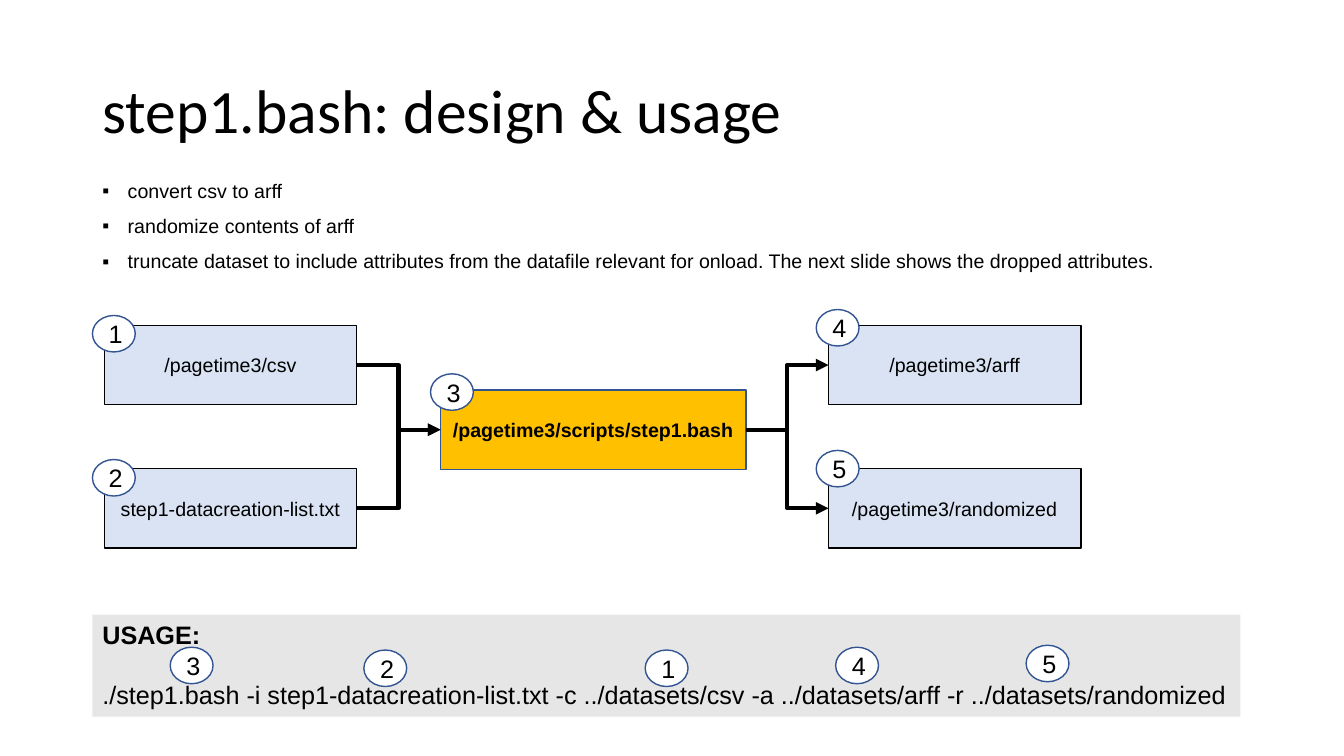
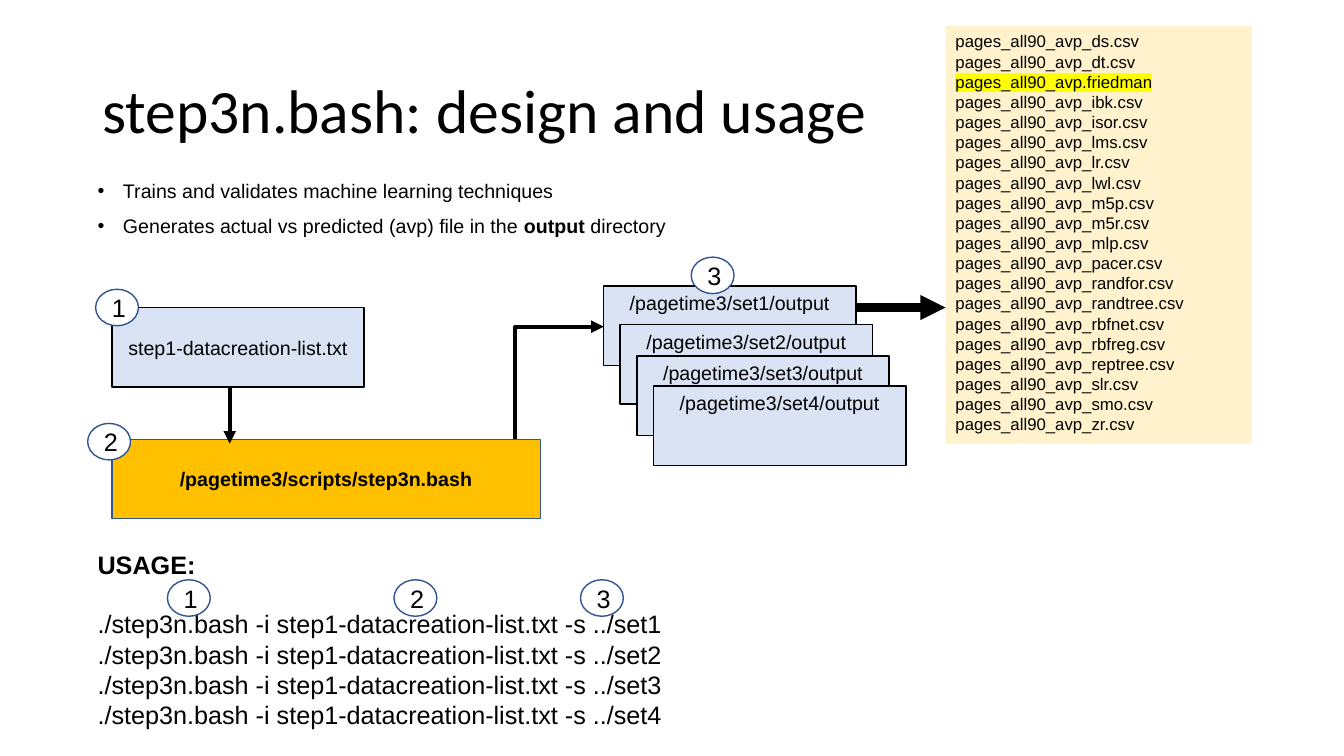
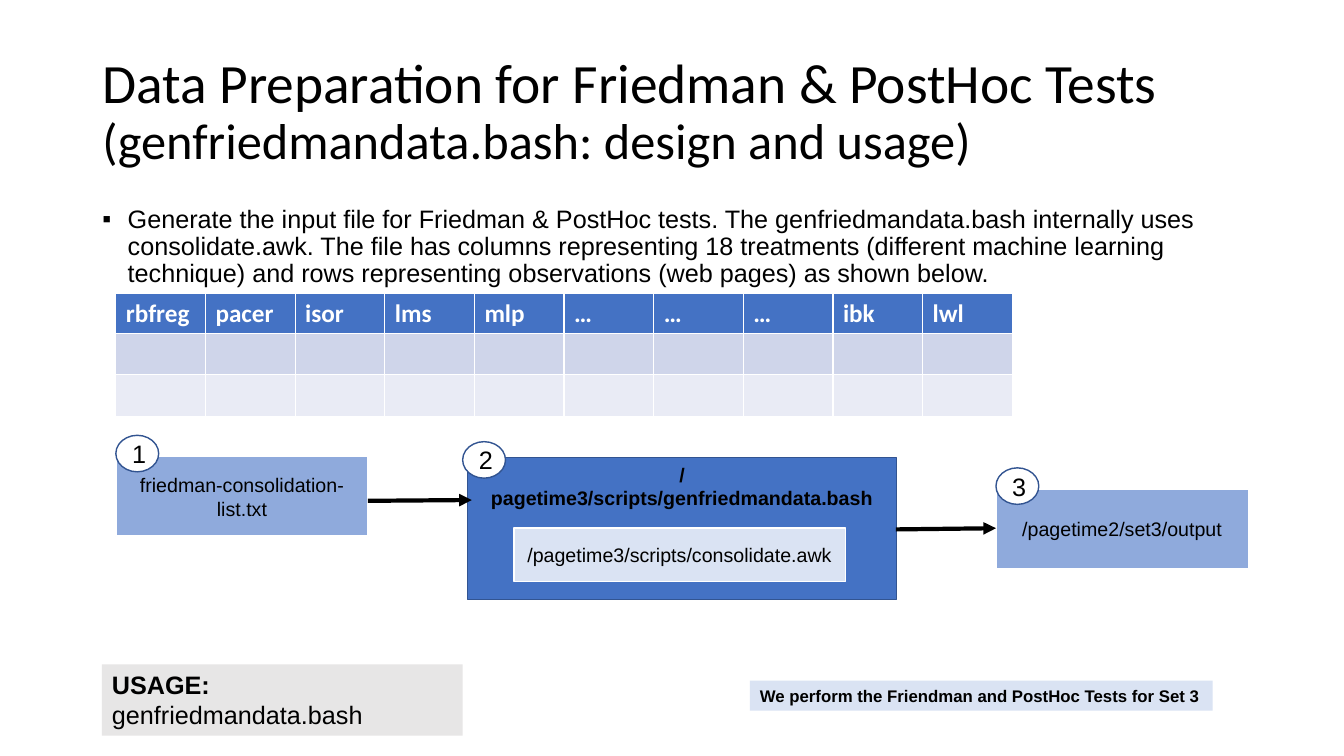
from dataclasses import dataclass

from lxml import etree
from pptx import Presentation
from pptx.dml.color import RGBColor
from pptx.enum.shapes import MSO_CONNECTOR, MSO_SHAPE
from pptx.enum.text import MSO_ANCHOR, PP_ALIGN
from pptx.oxml.ns import qn
from pptx.util import Cm, Pt

RECTANGLE, OVAL = MSO_SHAPE.RECTANGLE, MSO_SHAPE.OVAL
STRAIGHT, ELBOW = MSO_CONNECTOR.STRAIGHT, MSO_CONNECTOR.ELBOW
TOP, MIDDLE = MSO_ANCHOR.TOP, MSO_ANCHOR.MIDDLE
LEFT, CENTER = PP_ALIGN.LEFT, PP_ALIGN.CENTER


@dataclass(frozen=True)
class Theme:
    heading_font: str = "Calibri"
    body_font: str = "Arial"
    title_size: float = 44
    long_title_size: float = 39.6
    subtitle_size: float = 36
    large_size: float = 18
    body_size: float = 14
    small_size: float = 12
    black: str = "000000"
    white: str = "FFFFFF"
    outline: str = "325491"
    pale_blue: str = "DAE3F3"
    mid_blue: str = "8FAADC"
    blue: str = "4472C4"
    amber: str = "FFC000"
    cream: str = "FFF2CC"
    grey: str = "E7E6E6"
    yellow: str = "FFFF00"
    band_dark: str = "CFD5EA"
    band_light: str = "E9EBF5"


theme = Theme()

# Shared formats
TITLE = dict(font=theme.heading_font, size=theme.title_size, anchor=MIDDLE, line_spacing=0.9)
BULLETS = dict(line_spacing=0.9, space_before=10)
BOX = dict(align=CENTER, anchor=MIDDLE)
NODE = dict(BOX, fill=theme.pale_blue, line=theme.black)
STACKED_NODE = dict(NODE, anchor=TOP)
SCRIPT = dict(BOX, fill=theme.amber, line=theme.outline, bold=True)
BADGE = dict(BOX, geometry=OVAL, fill=theme.white, line=theme.outline, size=theme.large_size)
NODE_SIZE = (6.36, 2)
BADGE_SIZE = (1.08, 0.92)
USAGE_HEADING = [("USAGE:", dict(bold=True))]
USAGE_GAP = Pt(20.7)


def add_text(slide, text, box, *, geometry=RECTANGLE, fill=None, line=None,
             font=theme.body_font, size=theme.body_size, bold=False, align=LEFT,
             anchor=TOP, line_spacing=None, space_before=0, bullet=None):
    """Each paragraph is a string or a list of (string, run format) pairs."""
    left, top, width, height = map(Cm, box)
    if fill:
        shape = slide.shapes.add_shape(geometry, left, top, width, height)
        shape.shadow.inherit = False
        shape.fill.solid()
        shape.fill.fore_color.rgb = RGBColor.from_string(fill)
        if line:
            shape.line.color.rgb = RGBColor.from_string(line)
            shape.line.width = Pt(1)
        else:
            shape.line.fill.background()
    else:
        shape = slide.shapes.add_textbox(left, top, width, height)
    frame = shape.text_frame
    frame.word_wrap = True
    frame.vertical_anchor = anchor
    for index, content in enumerate([text] if isinstance(text, str) else text):
        paragraph = frame.add_paragraph() if index else frame.paragraphs[0]
        paragraph.alignment = align
        if line_spacing:
            paragraph.line_spacing = line_spacing
        if index and space_before:
            paragraph.space_before = Pt(space_before)
        if bullet:
            properties = paragraph._p.get_or_add_pPr()
            properties.set("marL", str(Cm(0.64)))
            properties.set("indent", str(-Cm(0.64)))
            etree.SubElement(properties, qn("a:buFont"), typeface=theme.body_font)
            etree.SubElement(properties, qn("a:buChar"), char=bullet)
        runs = [(content, {})] if isinstance(content, str) else content
        for words, run_format in runs:
            run = paragraph.add_run()
            run.text = words
            run.font.name = font
            run.font.size = Pt(run_format.get("size", size))
            run.font.bold = run_format.get("bold", bold)
            run.font.color.rgb = RGBColor.from_string(theme.black)
            if "highlight" in run_format:
                highlight = etree.Element(qn("a:highlight"))
                etree.SubElement(highlight, qn("a:srgbClr"), val=run_format["highlight"])
                run.font._element.find(qn("a:solidFill")).addnext(highlight)
    return shape


def add_arrow(slide, start, end, kind=STRAIGHT, width=3):
    connector = slide.shapes.add_connector(kind, *map(Cm, start + end))
    connector.line.color.rgb = RGBColor.from_string(theme.black)
    connector.line.width = Pt(width)
    etree.SubElement(connector.line._get_or_add_ln(), qn("a:tailEnd"), type="triangle")
    etree.SubElement(connector._element.spPr, qn("a:effectLst"))
    return connector


presentation = Presentation()
presentation.slide_width = Cm(33.87)
presentation.slide_height = Cm(19.05)

# Slides and titles
titles = [
    "step1.bash: design & usage",
    "step3n.bash: design and usage",
    [[("Data Preparation for Friedman & PostHoc Tests", dict(size=theme.long_title_size))],
     [("(genfriedmandata.bash: design and usage)", dict(size=theme.subtitle_size))]],
]
for title in titles:
    slide = presentation.slides.add_slide(presentation.slide_layouts[6])
    add_text(slide, title, (2.33, 1.01, 29.21, 3.68), **TITLE)
step1_slide, step3_slide, friedman_slide = presentation.slides

# Step 1: bullets
add_text(step1_slide, [
    "convert csv to arff",
    "randomize contents of arff",
    "truncate dataset to include attributes from the datafile relevant for onload. "
    "The next slide shows the dropped attributes.",
], (2.33, 4.45, 27.38, 3.15), bullet="▪", **BULLETS)

# Step 1: two inputs, the script, two outputs
add_text(step1_slide, "/pagetime3/scripts/step1.bash", (11.1, 9.83, 7.7, 2), **SCRIPT)
script_left, script_right, script_middle = 11.1, 18.8, 10.83
input_left, output_left = 2.63, 20.88
for top, input_name, output_name in [
    (8.2, "/pagetime3/csv", "/pagetime3/arff"),
    (11.81, "step1-datacreation-list.txt", "/pagetime3/randomized"),
]:
    middle = top + NODE_SIZE[1] / 2
    add_text(step1_slide, input_name, (input_left, top, *NODE_SIZE), **NODE)
    add_text(step1_slide, output_name, (output_left, top, *NODE_SIZE), **NODE)
    add_arrow(step1_slide, (input_left + NODE_SIZE[0], middle), (script_left, script_middle), ELBOW)
    add_arrow(step1_slide, (script_right, script_middle), (output_left, middle), ELBOW)

# Step 1: usage
usage = add_text(step1_slide, [
    USAGE_HEADING,
    "./step1.bash -i step1-datacreation-list.txt -c ../datasets/csv "
    "-a ../datasets/arff -r ../datasets/randomized",
], (2.33, 15.49, 28.93, 2.57), fill=theme.grey, size=theme.large_size)
usage.text_frame.paragraphs[1].space_before = USAGE_GAP

# Step 3: bullets and usage
add_text(step3_slide, [
    "Trains and validates machine learning techniques",
    [("Generates actual vs predicted (avp) file in the ", {}),
     ("output", dict(bold=True)), (" directory", {})],
], (2.21, 4.45, 19.66, 2.84), bullet="•", **BULLETS)
commands = [f"./step3n.bash -i step1-datacreation-list.txt -s ../set{number}" for number in range(1, 5)]
usage = add_text(step3_slide, [USAGE_HEADING, *commands], (2.21, 13.72, 30.18, 4.88),
                 size=theme.large_size)
usage.text_frame.paragraphs[1].space_before = USAGE_GAP

# Step 3: list of result files
techniques = ("ds dt friedman ibk isor lms lr lwl m5p m5r mlp pacer randfor randtree "
              "rbfnet rbfreg reptree slr smo zr").split()
result_files = [
    [("pages_all90_avp.friedman", dict(highlight=theme.yellow))] if technique == "friedman"
    else f"pages_all90_avp_{technique}.csv"
    for technique in techniques
]
add_text(step3_slide, result_files, (23.83, 0.66, 7.72, 10.52),
         fill=theme.cream, size=theme.small_size)

# Step 3: flow from input to script to stacked outputs
add_text(step3_slide, "/pagetime3/scripts/step3n.bash", (2.82, 11.07, 10.8, 2), **SCRIPT)
add_text(step3_slide, "step1-datacreation-list.txt", (2.82, 7.75, *NODE_SIZE), **NODE)
for index, top in enumerate([7.21, 8.18, 8.97, 9.73]):
    add_text(step3_slide, f"/pagetime3/set{index + 1}/output",
             (15.21 + 0.42 * index, top, *NODE_SIZE), **STACKED_NODE)
add_arrow(step3_slide, (5.79, 9.78), (5.79, 11.18))
add_arrow(step3_slide, (21.57, 7.75), (23.83, 7.75), width=6)

# Single bend: a quarter turn makes it leave upwards and arrive from the left
bend = add_arrow(step3_slide, (15.52, 10.77), (12.68, 8.54), ELBOW)
bend._element.spPr.find(qn("a:xfrm")).set("rot", "5400000")
bend._element.spPr.find(qn("a:prstGeom")).set("prst", "bentConnector2")

# Friedman: bullet
add_text(friedman_slide,
         "Generate the input file for Friedman & PostHoc tests. The genfriedmandata.bash "
         "internally uses consolidate.awk. The file has columns representing 18 treatments "
         "(different machine learning technique) and rows representing observations "
         "(web pages) as shown below.",
         (2.33, 5.08, 29.21, 2.39), bullet="▪", size=theme.large_size, **BULLETS)

# Friedman: table of treatments
headings = ["rbfreg", "pacer", "isor", "lms", "mlp", "…", "…", "…", "ibk", "lwl"]
row_formats = [(0.97, theme.blue), (1.04, theme.band_dark), (1.04, theme.band_light)]
table = friedman_slide.shapes.add_table(
    len(row_formats), len(headings), Cm(2.92), Cm(7.39), Cm(22.58), Cm(3.05)).table
for column in table.columns:
    column.width = Cm(2.26)
for row, (height, colour) in zip(table.rows, row_formats):
    row.height = Cm(height)
    for cell in row.cells:
        cell.fill.solid()
        cell.fill.fore_color.rgb = RGBColor.from_string(colour)
for cell, heading in zip(table.rows[0].cells, headings):
    cell.text = heading
    font = cell.text_frame.paragraphs[0].runs[0].font
    font.name = theme.heading_font
    font.size = Pt(theme.large_size)
    font.bold = True
    font.color.rgb = RGBColor.from_string(theme.white)

# Friedman: flow
file_node = dict(NODE, fill=theme.mid_blue, line=theme.white)
add_text(friedman_slide, ["/", "pagetime3/scripts/genfriedmandata.bash"],
         (11.79, 11.53, 10.8, 3.58), **dict(SCRIPT, fill=theme.blue, anchor=TOP))
add_text(friedman_slide, "/pagetime3/scripts/consolidate.awk", (12.95, 13.31, 8.36, 1.35),
         **dict(NODE, line=theme.white))
add_text(friedman_slide, "friedman-consolidation-list.txt", (2.92, 11.51, *NODE_SIZE), **file_node)
add_text(friedman_slide, "/pagetime2/set3/output", (25.1, 12.32, *NODE_SIZE), **file_node)
add_arrow(friedman_slide, (9.27, 12.62), (11.89, 12.6))
add_arrow(friedman_slide, (22.58, 13.34), (25.1, 13.31))

# Friedman: usage and note
add_text(friedman_slide, [USAGE_HEADING, "genfriedmandata.bash"], (2.57, 16.74, 9.09, 1.8),
         fill=theme.grey, size=theme.large_size)
add_text(friedman_slide, "We perform the Friendman and PostHoc Tests for Set 3",
         (18.9, 17.15, 11.66, 0.76), fill=theme.pale_blue, size=theme.small_size, bold=True)

# Numbered badges
badges = [
    [(1, 2.33, 7.95), (2, 2.33, 11.58), (3, 10.85, 9.42), (4, 20.57, 7.8), (5, 20.57, 11.35),
     (3, 4.29, 16.31), (2, 9.17, 16.38), (1, 16.26, 16.38), (4, 21.06, 16.31), (5, 25.86, 16.26)],
    [(1, 2.41, 7.29), (2, 2.21, 10.67), (3, 17.42, 6.48),
     (1, 4.22, 14.61), (2, 9.93, 14.61), (3, 14.63, 14.61)],
    [(1, 2.92, 10.97), (2, 11.66, 11.13), (3, 25.1, 11.79)],
]
for slide, slide_badges in zip(presentation.slides, badges):
    for number, left, top in slide_badges:
        add_text(slide, str(number), (left, top, *BADGE_SIZE), **BADGE)

presentation.save("out.pptx")
